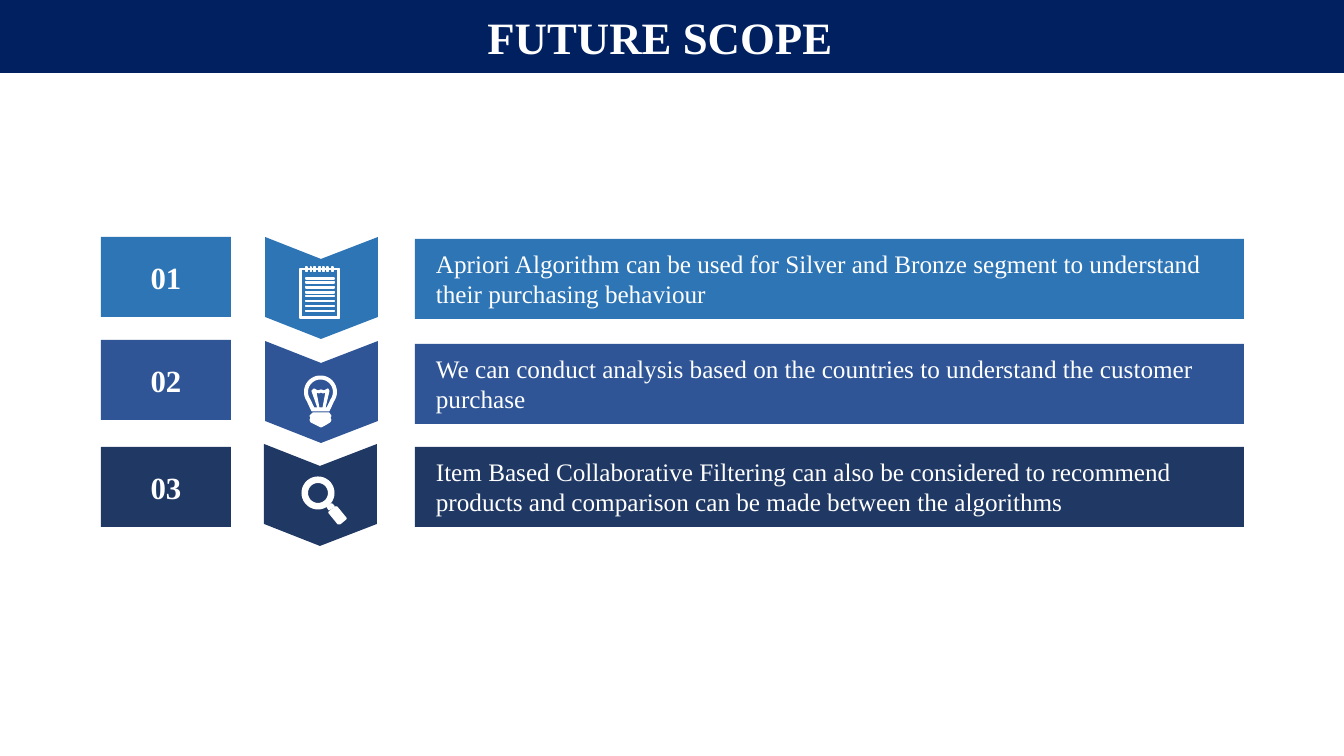
import dataclasses
import math

import pptx
import pptx.dml.color
import pptx.enum.shapes
import pptx.enum.text
import pptx.shapes.autoshape
import pptx.util

PX = 914400 / 100.8
Point = tuple[float, float]
Path = list[Point]
Align = pptx.enum.text.PP_ALIGN
Anchor = pptx.enum.text.MSO_ANCHOR


@dataclasses.dataclass(frozen=True)
class Theme:
    font: str = "Times New Roman"
    white: str = "FFFFFF"
    navy: str = "002060"
    title: int = 32
    label: int = 22
    body: int = 18
    edge: float = 0.75


@dataclasses.dataclass(frozen=True)
class Box:
    left: int
    top: int
    width: int
    height: int


@dataclasses.dataclass(frozen=True)
class Step:
    label: str
    text: str
    color: str
    tile: int
    arrow: Point
    bar: int
    icon: list[Path]


THEME = Theme()


def emu(px: float) -> pptx.util.Emu:
    return pptx.util.Emu(round(px * PX))


def place(box: Box) -> list[pptx.util.Emu]:
    return [emu(n) for n in dataclasses.astuple(box)]


def rgb(color: str) -> pptx.dml.color.RGBColor:
    return pptx.dml.color.RGBColor.from_string(color)


def arc(mid: Point, size: float, start: int = 0, end: int = 350) -> Path:
    turns = [math.radians(a) for a in range(start, end + 1, 10)]
    return [(mid[0] + size * math.cos(a), mid[1] + size * math.sin(a)) for a in turns]


def rect(left: int, top: int, right: int, base: int) -> Path:
    return [(left, top), (right, top), (right, base), (left, base)]


def note() -> list[Path]:
    frame = [rect(300, 269, 339, 318), rect(301, 270, 338, 317)]
    lines = [rect(306, y, 334, y + 1) for y in (278 + 33 * i // 7 for i in range(8))]
    rings = [
        [(x, 267), (x + 1, 267), (x + 1, 269), (x + 3, 269),
         (x + 3, 270), (x + 1, 270), (x + 1, 272), (x, 272)]
        for x in (306 + 26 * i // 6 for i in range(7))
    ]
    return frame + lines + rings


def bulb() -> list[Path]:
    mid = (320.5, 392)
    glass = arc(mid, 16, 145, 395) + [(330, 409), (329, 411), (312, 411), (311, 409)]
    hole = arc(mid, 13, 145, 395) + [
        (327, 408), (325, 408), (329, 391), (328, 389), (324, 391), (321, 390),
        (318, 391), (314, 389), (312, 391), (318, 408), (314, 408)]
    wire = [(319, 408), (323, 408), (326, 392), (323, 393),
            (321, 392), (319, 393), (316, 392)]
    base = [(313, 413), (329, 413), (331, 416), (330, 418), (331, 420), (330, 422),
            (325, 425), (321, 427), (317, 425), (311, 422), (310, 420), (311, 418),
            (310, 416)]
    return [glass, hole, wire, base]


def lens() -> list[Path]:
    mid = (318, 493)
    neck = [(329, 510), (334, 507), (334, 506), (332, 504), (331, 504), (327, 507)]
    grip = [(346, 518), (337, 507), (335, 507), (329, 512),
            (329, 513), (338, 524), (340, 524), (346, 519)]
    return [arc(mid, 16), arc(mid, 10.5), neck, grip]


def paint(shape: pptx.shapes.autoshape.Shape, color: str, edge: float = 0) -> None:
    shape.shadow.inherit = False
    shape.fill.solid()
    shape.fill.fore_color.rgb = rgb(color)
    if edge:
        shape.line.color.rgb = rgb(color)
        shape.line.width = pptx.util.Pt(edge)
    else:
        shape.line.fill.background()


def write(shape: pptx.shapes.autoshape.Shape, text: str, size: int, bold: bool,
          align: Align, anchor: Anchor) -> None:
    frame = shape.text_frame
    frame.text = text
    frame.word_wrap = True
    frame.auto_size = pptx.enum.text.MSO_AUTO_SIZE.NONE
    frame.vertical_anchor = anchor
    line = frame.paragraphs[0]
    line.alignment = align
    font = line.runs[0].font
    font.name = THEME.font
    font.size = pptx.util.Pt(size)
    font.bold = bold
    font.color.rgb = rgb(THEME.white)


def block(slide: pptx.slide.Slide, box: Box, color: str) -> pptx.shapes.autoshape.Shape:
    kind = pptx.enum.shapes.MSO_SHAPE.RECTANGLE
    shape = slide.shapes.add_shape(kind, *place(box))
    paint(shape, color)
    return shape


def trace(slide: pptx.slide.Slide, paths: list[Path], color: str, edge: float = 0) -> None:
    first, *rest = [[(emu(x), emu(y)) for x, y in path] for path in paths]
    pen = slide.shapes.build_freeform(*first[0])
    pen.add_line_segments(first[1:])
    for path in rest:
        pen.move_to(*path[0])
        pen.add_line_segments(path[1:])
    paint(pen.convert_to_shape(), color, edge)


def draw(slide: pptx.slide.Slide, step: Step) -> None:
    tile = block(slide, Box(101, step.tile, 130, 80), step.color)
    write(tile, step.label, THEME.label, True, Align.CENTER, Anchor.MIDDLE)

    left, top = step.arrow
    shape = [(0, 0), (0, 80), (56, 102), (113, 80), (113, 0), (56, 22)]
    trace(slide, [[(left + x, top + y) for x, y in shape]], step.color)
    trace(slide, step.icon, THEME.white, THEME.edge)

    block(slide, Box(415, step.bar, 829, 80), step.color)
    text = slide.shapes.add_textbox(*place(Box(426, step.bar + 4, 808, 72)))
    write(text, step.text, THEME.body, False, Align.LEFT, Anchor.TOP)


STEPS = [
    Step("01", "Apriori Algorithm can be used for Silver and Bronze segment to "
         "understand their purchasing behaviour", "2E75B6", 237, (265, 237), 239, note()),
    Step("02", "We can conduct analysis based on the countries to understand the "
         "customer purchase", "2F5597", 340, (265, 341), 344, bulb()),
    Step("03", "Item Based Collaborative Filtering can also be considered to recommend "
         "products and comparison can be made between the algorithms",
         "203864", 447, (264, 444), 447, lens()),
]


def main() -> None:
    deck = pptx.Presentation()
    deck.slide_width, deck.slide_height = emu(1344), emu(756)
    slide = deck.slides.add_slide(deck.slide_layouts[5])

    band = block(slide, Box(0, -12, 1344, 85), THEME.navy)
    title = slide.shapes.title
    band._element.addnext(title._element)
    title.left, title.top, title.width, title.height = place(Box(348, 5, 624, 65))
    write(title, "FUTURE SCOPE", THEME.title, True, Align.CENTER, Anchor.TOP)

    for step in STEPS:
        draw(slide, step)
    deck.save("out.pptx")


if __name__ == "__main__":
    main()
